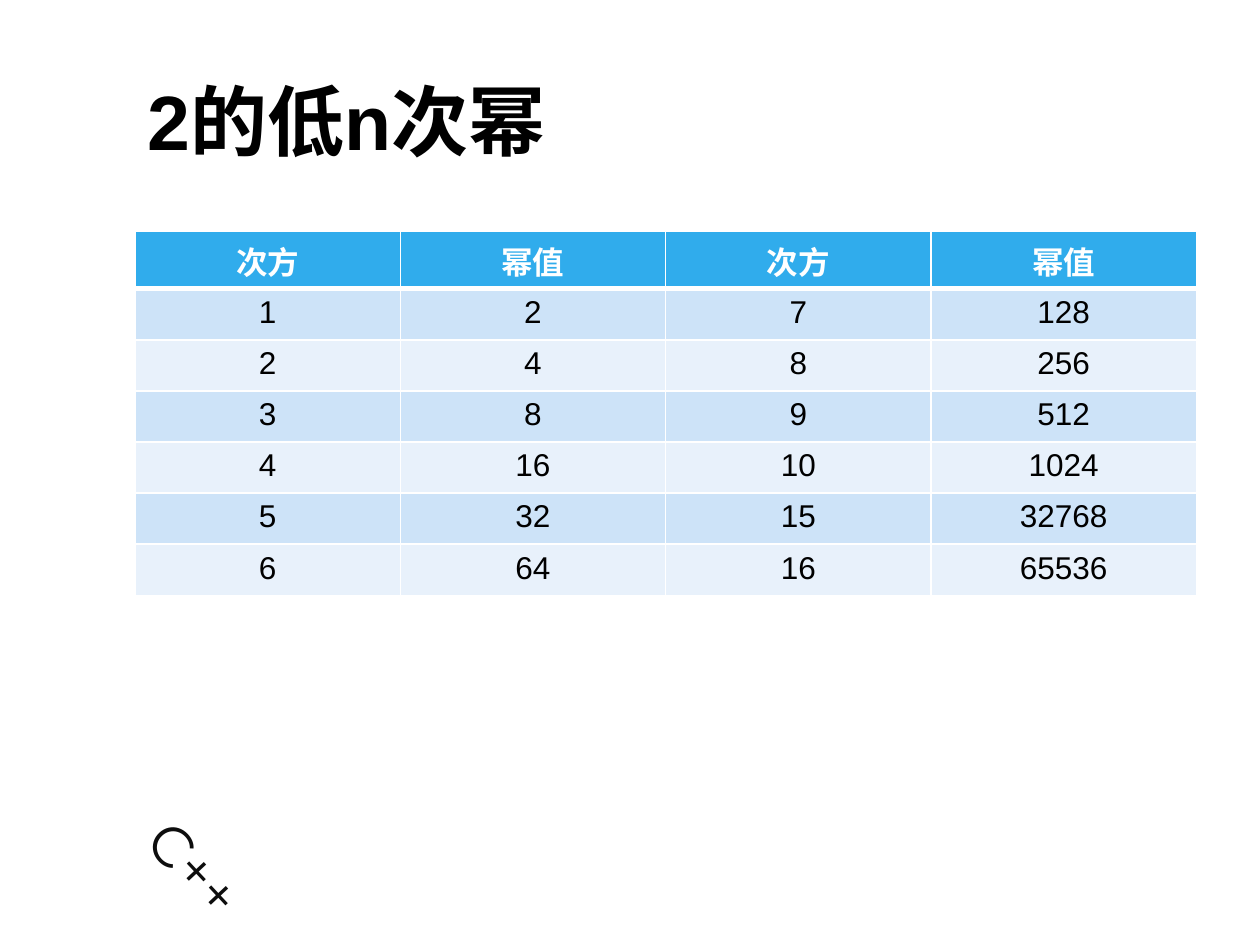
from lxml.etree import SubElement
from pptx import Presentation
from pptx.dml.color import RGBColor
from pptx.enum.text import MSO_ANCHOR, MSO_AUTO_SIZE, PP_ALIGN
from pptx.oxml.ns import qn
from pptx.util import Cm, Pt

COLORS = {
    "ink": "000000",
    "badge": "0D0D0D",
    "white": "FFFFFF",
    "header": "30ACEC",
    "odd": "CDE3F8",
    "even": "E8F1FB",
}
HEADER = ["次方", "幂值"] * 2
POWERS = [(n, n + 6) for n in range(1, 5)] + [(5, 15), (6, 16)]
HEADER_BORDERS = {"L": 1, "R": 1, "T": 1, "B": 3}


def add_run(p, text, size, color, font="Arial", bold=False):
    """Append one formatted run to a paragraph."""
    r = p.add_run()
    r.text = text
    r.font.name = font
    r.font.size = Pt(size)
    r.font.bold = bold
    r.font.color.rgb = RGBColor.from_string(COLORS[color])


def set_borders(cell, borders):
    """Draw white cell borders; call before the cell is filled."""
    props = cell._tc.get_or_add_tcPr()
    for side, points in borders.items():
        line = SubElement(props, qn(f"a:ln{side}"), w=str(Pt(points)))
        fill = SubElement(line, qn("a:solidFill"))
        SubElement(fill, qn("a:srgbClr"), val=COLORS["white"])


def add_badge(s, left, top, width, height):
    """Write the tilted language name in the lower corner."""
    sp = s.shapes.add_textbox(left, top, width, height)
    sp.rotation = 46.9
    tf = sp.text_frame
    tf.word_wrap = True
    tf.margin_right = 0
    tf.auto_size = MSO_AUTO_SIZE.SHAPE_TO_FIT_TEXT
    add_run(tf.paragraphs[0], "C++", 32, "badge", "Montserrat")


def add_title(s, left, top, width, height):
    """Place and fill the title placeholder."""
    sp = s.shapes.title
    sp.left, sp.top, sp.width, sp.height = left, top, width, height
    tf = sp.text_frame
    tf.vertical_anchor = MSO_ANCHOR.MIDDLE
    p = tf.paragraphs[0]
    p.alignment = PP_ALIGN.LEFT
    add_run(p, "2的低n次幂", 44, "ink", bold=True)


def add_power_table(s, left, top, width, height):
    """Build the table of exponents and powers of two."""
    rows = [HEADER]
    for low, high in POWERS:
        rows.append([str(v) for n in (low, high) for v in (n, 2 ** n)])
    sp = s.shapes.add_table(len(rows), len(HEADER), left, top, width, height)
    sp.table.rows[0].height = Cm(1.16)
    for i, row in enumerate(rows):
        fill = "header" if i == 0 else "odd" if i % 2 else "even"
        for j, text in enumerate(row):
            cell = sp.table.cell(i, j)
            if i == 0:
                set_borders(cell, HEADER_BORDERS)
            cell.fill.solid()
            cell.fill.fore_color.rgb = RGBColor.from_string(COLORS[fill])
            p = cell.text_frame.paragraphs[0]
            p.alignment = PP_ALIGN.CENTER
            add_run(p, text, 18, "ink" if i else "white", bold=i == 0)


def main():
    """Build and save the slide."""
    prs = Presentation()
    prs.slide_width, prs.slide_height = Cm(25.4), Cm(19.05)
    s = prs.slides.add_slide(prs.slide_layouts[5])
    left, width = Cm(2.72), Cm(21.4)
    add_badge(s, Cm(2.64), Cm(16.65), Cm(2.54), Cm(1.63))
    add_title(s, left, Cm(0.74), width, Cm(3.35))
    add_power_table(s, left, Cm(4.66), width, Cm(7.21))
    prs.save("out.pptx")


if __name__ == "__main__":
    main()
